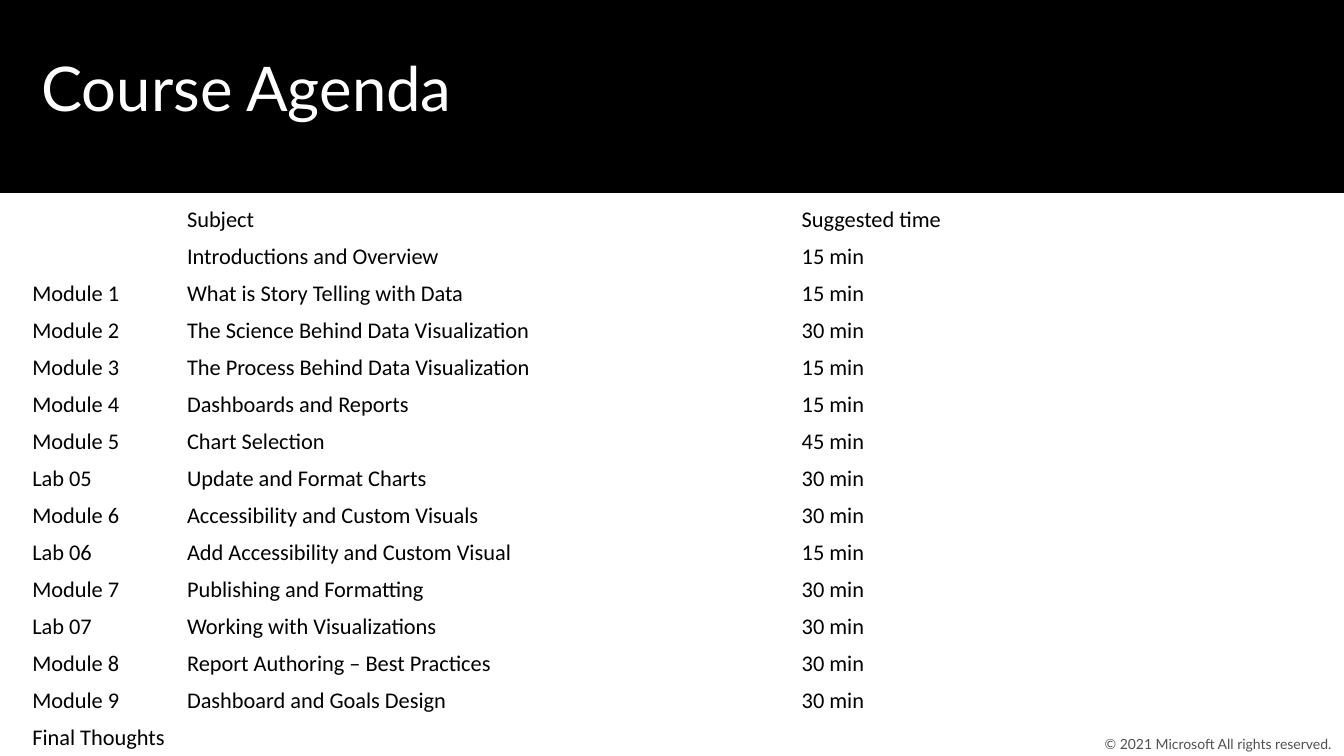
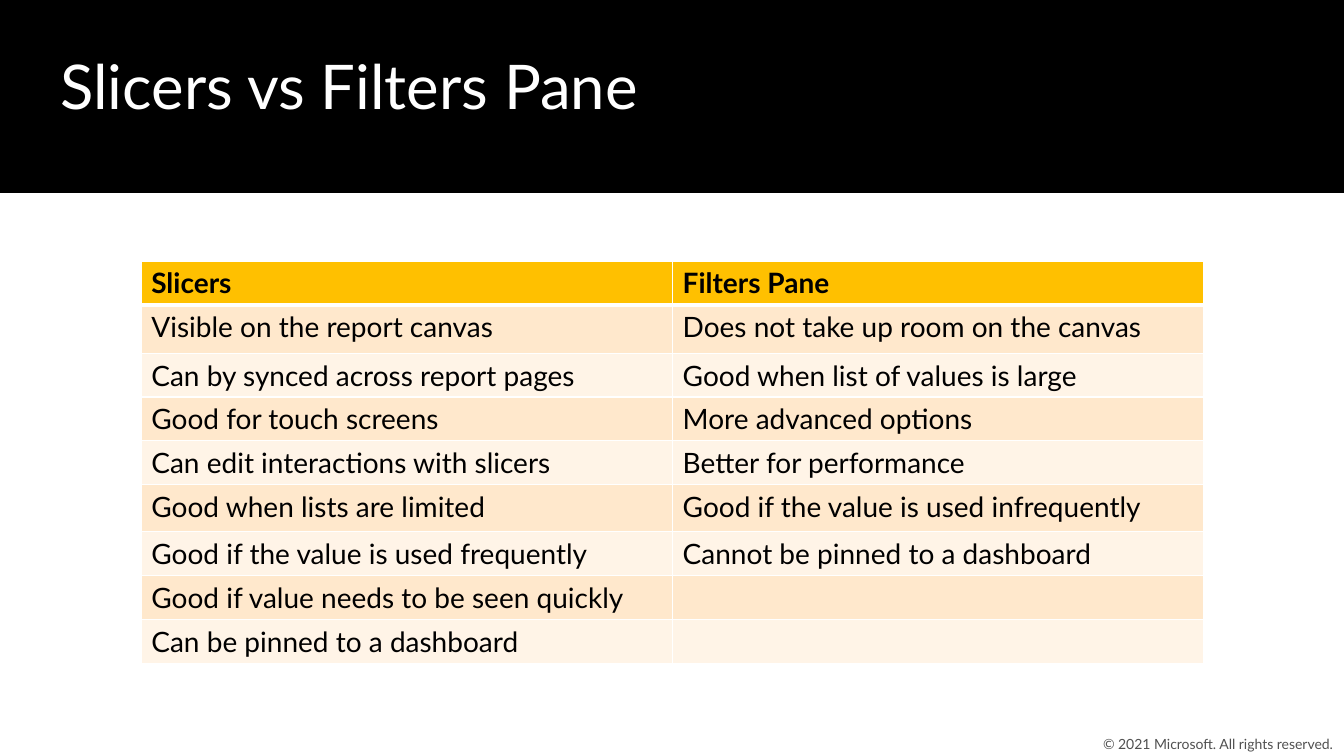
from lxml.etree import SubElement
from pptx import Presentation
from pptx.dml.color import RGBColor
from pptx.enum.shapes import MSO_SHAPE
from pptx.enum.text import MSO_ANCHOR, MSO_AUTO_SIZE, PP_ALIGN
from pptx.oxml.ns import qn
from pptx.util import Cm, Pt

COLORS = {
    "black": "000000",
    "white": "FFFFFF",
    "footer": "505050",
    "header": "FFC000",
    "band_dark": "FFE8CC",
    "band_light": "FFF4E7",
}
HEADING_FONT, TABLE_FONT = "Lato", "Calibri"


def write(frame, text, size, color, font=HEADING_FONT, bold=False, align=PP_ALIGN.LEFT):
    """Put one formatted paragraph in a text frame."""
    frame.text = text
    para = frame.paragraphs[0]
    para.alignment = align
    for span in para.runs:
        span.font.size = Pt(size)
        span.font.name = font
        span.font.bold = bold
        span.font.color.rgb = RGBColor.from_string(COLORS[color])
    if not text:  # keeps an empty table cell as low as its row
        SubElement(para._p, qn("a:endParaRPr"), sz=str(size * 100))


def add_plain_table(page, left, top, widths, heights):
    """Add a table without the banding of its style."""
    frame = page.shapes.add_table(len(heights), len(widths), Cm(left), Cm(top),
                                  Cm(sum(widths)), Cm(sum(heights)))
    table = frame.table
    table.first_row = table.horz_banding = False
    for column, width in zip(table.columns, widths):
        column.width = Cm(width)
    for row, height in zip(table.rows, heights):
        row.height = Cm(height)
    return table


deck = Presentation()
deck.slide_width, deck.slide_height = Cm(33.87), Cm(19.05)
layout = deck.slide_layouts[5]

# Titles and footers
headings = [
    ("Course Agenda", 0.79, 1.14, 26.9, 2.13, "© 2021 Microsoft All rights reserved."),
    ("Slicers vs Filters Pane", 1.27, 1.07, 31.22, 1.93, "© 2021 Microsoft. All rights reserved."),
]
for title_text, left, top, width, height, footer_text in headings:
    page = deck.slides.add_slide(layout)
    title = page.shapes.title
    title.left, title.top, title.width, title.height = Cm(left), Cm(top), Cm(width), Cm(height)
    title.text_frame.auto_size = MSO_AUTO_SIZE.NONE
    title.text_frame.vertical_anchor = MSO_ANCHOR.TOP
    write(title.text_frame, title_text, 44, "white")

    footer = page.shapes.add_textbox(Cm(26.87), Cm(18.44), Cm(7.9), Cm(0.61)).text_frame
    footer.word_wrap = True
    footer.vertical_anchor = MSO_ANCHOR.MIDDLE
    footer.margin_left = footer.margin_top = footer.margin_bottom = 0
    write(footer, footer_text, 10, "footer", align=PP_ALIGN.CENTER)

agenda_page, comparison_page = deck.slides

# Black title band, moved to the layout so that both slides share it
band = agenda_page.shapes.add_shape(MSO_SHAPE.RECTANGLE, 0, 0, deck.slide_width, Cm(4.86))
band.shadow.inherit = False
band.fill.solid()
band.fill.fore_color.rgb = RGBColor.from_string(COLORS["black"])
band.line.fill.background()
layout.shapes.element.insert(2, band.element)

# Agenda table
agenda = [
    ("", "Subject", "Suggested time"),
    ("", "Introductions and Overview", "15 min"),
    ("Module 1", "What is Story Telling with Data", "15 min"),
    ("Module 2", "The Science Behind Data Visualization", "30 min"),
    ("Module 3", "The Process Behind Data Visualization", "15 min"),
    ("Module 4", "Dashboards and Reports", "15 min"),
    ("Module 5", "Chart Selection", "45 min"),
    ("Lab 05", "Update and Format Charts", "30 min"),
    ("Module 6", "Accessibility and Custom Visuals", "30 min"),
    ("Lab 06", "Add Accessibility and Custom Visual", "15 min"),
    ("Module 7", "Publishing and Formatting", "30 min"),
    ("Lab 07", "Working with Visualizations", "30 min"),
    ("Module 8", "Report Authoring – Best Practices", "30 min"),
    ("Module 9", "Dashboard and Goals Design", "30 min"),
    ("Final Thoughts", "", ""),
]
table = add_plain_table(agenda_page, 0.56, 5.08, [3.9, 15.49, 7.21], [0.93] * len(agenda))
for row, texts in zip(table.rows, agenda):
    for cell, text in zip(row.cells, texts):
        cell.fill.background()
        cell.vertical_anchor = MSO_ANCHOR.MIDDLE
        write(cell.text_frame, text, 16, "black", TABLE_FONT)

# Comparison table
comparison = [
    ("Slicers", "Filters Pane"),
    ("Visible on the report canvas", "Does not take up room on the canvas"),
    ("Can by synced across report pages", "Good when list of values is large"),
    ("Good for touch screens", "More advanced options"),
    ("Can edit interactions with slicers", "Better for performance"),
    ("Good when lists are limited", "Good if the value is used infrequently"),
    ("Good if the value is used frequently", "Cannot be pinned to a dashboard"),
    ("Good if value needs to be seen quickly", ""),
    ("Can be pinned to a dashboard", ""),
]
row_heights = [1.1, 1.22, 1.1, 1.1, 1.1, 1.19, 1.1, 1.12, 1.1]
table = add_plain_table(comparison_page, 3.56, 6.58, [13.39, 13.39], row_heights)
for index, (row, texts) in enumerate(zip(table.rows, comparison)):
    is_header = index == 0
    fill = "header" if is_header else "band_dark" if index % 2 else "band_light"
    for cell, text in zip(row.cells, texts):
        write(cell.text_frame, text, 20, "black", bold=is_header)
        # White cell borders, thicker between header and body
        properties = cell._tc.get_or_add_tcPr()
        for side in ("L", "R", "T", "B"):
            thick = (index, side) in ((0, "B"), (1, "T"))
            border = SubElement(properties, qn(f"a:ln{side}"), w=str(Pt(3 if thick else 1)))
            SubElement(SubElement(border, qn("a:solidFill")), qn("a:srgbClr"), val=COLORS["white"])
        cell.fill.solid()
        cell.fill.fore_color.rgb = RGBColor.from_string(COLORS[fill])

deck.save("out.pptx")
